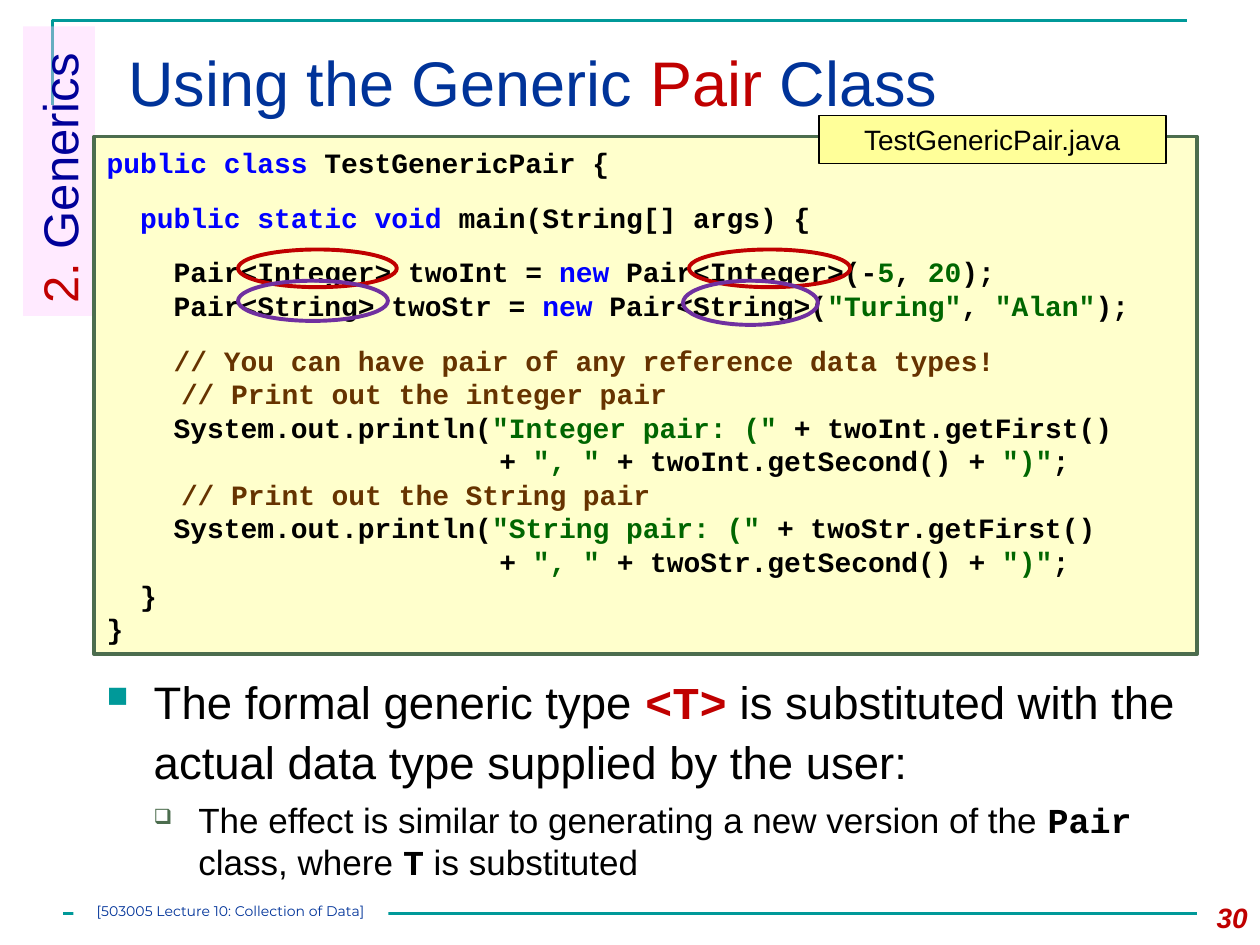
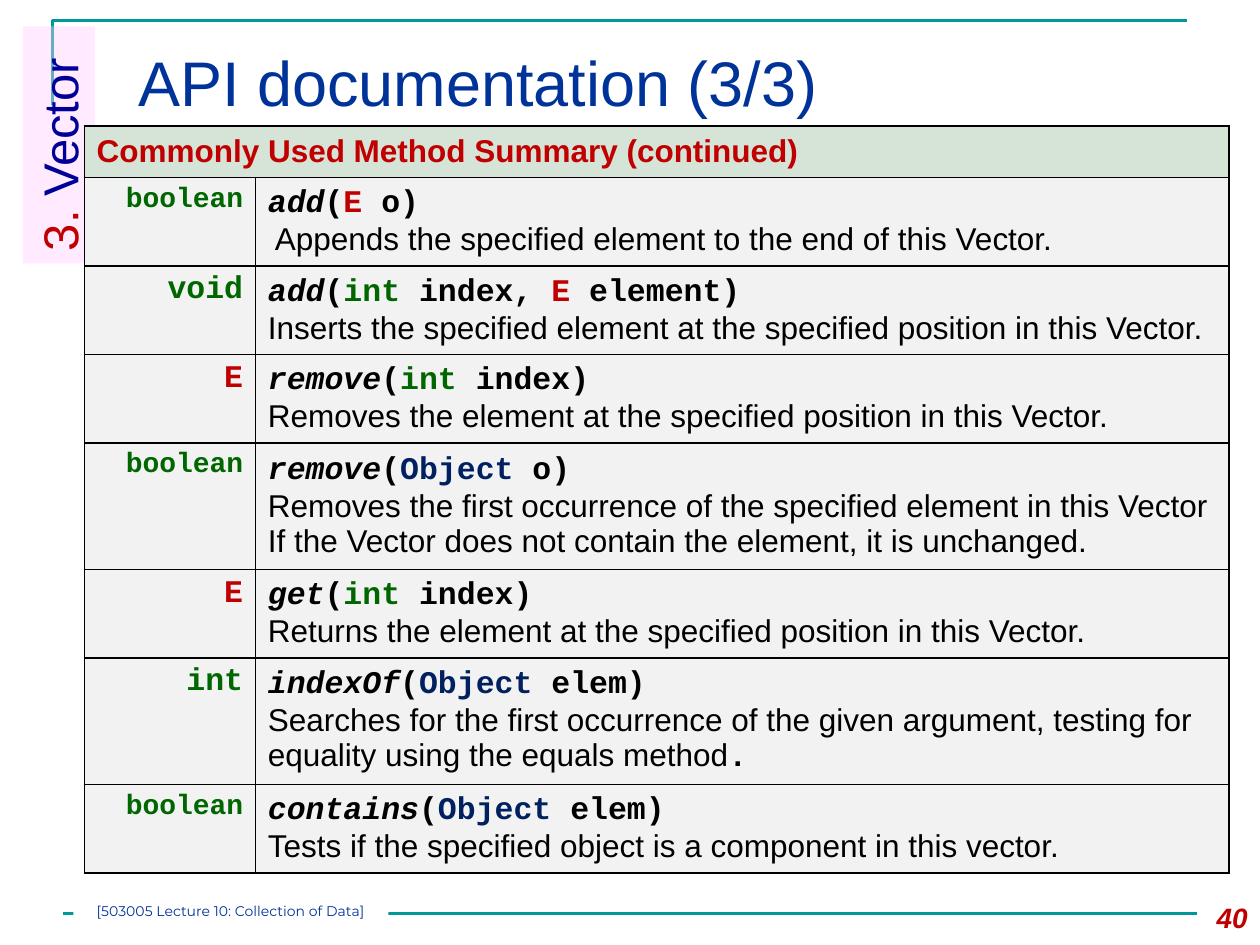
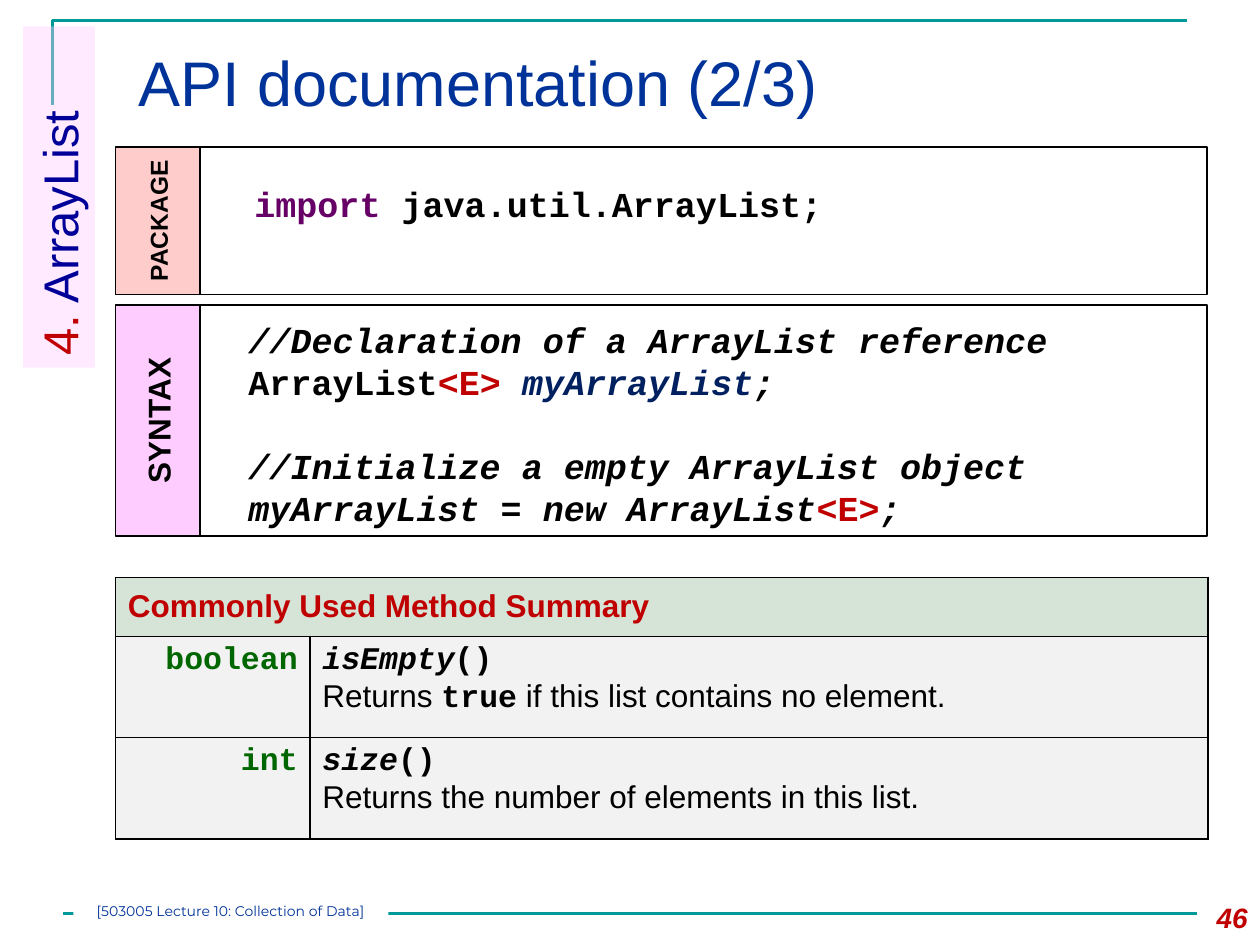
from lxml.etree import SubElement
from pptx import Presentation
from pptx.dml.color import RGBColor
from pptx.enum.shapes import MSO_CONNECTOR, MSO_SHAPE
from pptx.enum.text import MSO_ANCHOR, PP_ALIGN
from pptx.oxml.ns import qn
from pptx.util import Cm, Pt


class Theme:
    teal, navy, red, ink = "009999", "003399", "C00000", "000000"
    moss, purple, white, tag_blue = "4C6D4E", "7030A0", "FFFFFF", "000099"
    cream, file_yellow, pink, salmon = "FFFFCC", "FFFF99", "FFCCFF", "FFCCCC"
    head_fill, cell_fill = "D6E3D7", "F2F2F2"
    title, tag, lead, large, table, code, label, footer = 36, 28, 26, 20, 18, 16, 14, 8
    sans, mono, footer_font = "Arial", "Courier New", "Montserrat"


def look(color=Theme.ink, name=Theme.sans, bold=False, italic=False):
    return {"color": color, "name": name, "bold": bold, "italic": italic}


def mono(color=Theme.ink, italic=False):
    return look(color, Theme.mono, True, italic)


FORMATS = {
    "text": look(),
    "bold": look(bold=True),
    "title": look(Theme.navy),
    "accent": look(Theme.red),
    "tag": look(Theme.tag_blue),
    "heading": look(Theme.red, bold=True),
    "number": look(Theme.red, bold=True, italic=True),
    "footer": look(Theme.navy, Theme.footer_font),
    "code": mono(),
    "method": mono(italic=True),
    "keyword": mono("0000FF"),
    "import": mono("660066"),
    "literal": mono("006600"),
    "type": mono("006600"),
    "comment": mono("663300"),
    "generic": mono(Theme.red),
    "object": mono("002060"),
    "variable": mono("002060", italic=True),
}
INSETS = {"margin_left": Cm(0.25), "margin_right": Cm(0.25),
          "margin_top": Cm(0.13), "margin_bottom": Cm(0.13)}


# Text
def set_values(target, values):
    for key, value in values.items():
        setattr(target, key, value)


def write_spans(para, spans, size, **para_format):
    """Add (format, text) spans; a "\\n" text is a line break."""
    set_values(para, para_format)
    for kind, text in spans:
        if text == "\n":
            para.add_line_break()
            continue
        span = para.add_run()
        span.text = text
        values = dict(FORMATS[kind], size=Pt(size))
        span.font.color.rgb = RGBColor.from_string(values.pop("color"))
        set_values(span.font, values)


def write_lines(frame, lines, size, gap):
    """Write code lines; an empty line becomes space before the next one."""
    para, space = frame.paragraphs[0], 0
    for line in lines:
        if not line:
            space = gap
            continue
        if para.runs:
            para = frame.add_paragraph()
        write_spans(para, line, size, line_spacing=Pt(size * 1.2))
        if space:
            para.space_before = Pt(space)
        space = 0


def add_tabs(para, step, count):
    stops = SubElement(para._p.get_or_add_pPr(), qn("a:tabLst"))
    for index in range(1, count + 1):
        SubElement(stops, qn("a:tab"), pos=str(Cm(step * index)), algn="l")


def add_bullet(para, symbol, color, percent, left, hang):
    props = para._p.get_or_add_pPr()
    props.set("marL", str(Cm(left)))
    props.set("indent", str(-Cm(hang)))
    SubElement(SubElement(props, qn("a:buClr")), qn("a:srgbClr"), val=color)
    SubElement(props, qn("a:buSzPct"), val=str(percent * 1000))
    SubElement(props, qn("a:buChar"), char=symbol)


# Shapes
def add_box(page, place, fill=None, line=None, weight=1, kind=MSO_SHAPE.RECTANGLE,
            anchor=MSO_ANCHOR.TOP, **insets):
    box = page.shapes.add_shape(kind, *map(Cm, place))
    box.shadow.inherit = False
    if fill:
        box.fill.solid()
        box.fill.fore_color.rgb = RGBColor.from_string(fill)
    else:
        box.fill.background()
    if line:
        box.line.color.rgb = RGBColor.from_string(line)
        box.line.width = Pt(weight)
    else:
        box.line.fill.background()
    set_values(box.text_frame, dict(INSETS, word_wrap=True, vertical_anchor=anchor, **insets))
    box.text_frame.paragraphs[0].alignment = PP_ALIGN.LEFT
    return box


def add_text(page, place, anchor=MSO_ANCHOR.TOP):
    frame = page.shapes.add_textbox(*map(Cm, place)).text_frame
    set_values(frame, dict(INSETS, word_wrap=True, vertical_anchor=anchor))
    return frame


def add_section_tag(page, number, name, length):
    thick, center, top = 1.45, 1.19, 0.53
    box = add_box(page, (center - length / 2, top + length / 2 - thick / 2, length, thick),
                  Theme.pink)
    box.rotation = 270
    color = box.fill._xPr.find(qn("a:solidFill")).find(qn("a:srgbClr"))
    SubElement(color, qn("a:alpha"), val="40000")
    write_spans(box.text_frame.paragraphs[0],
                [("accent", number), ("tag", " " + name)], Theme.tag)


def add_side_label(page, place, text, fill, size):
    box = add_box(page, place, fill, Theme.ink, anchor=MSO_ANCHOR.MIDDLE)
    box.text_frame._txBody.bodyPr.set("vert", "vert270")
    write_spans(box.text_frame.paragraphs[0], [("bold", text)], size,
                alignment=PP_ALIGN.CENTER)


# Page frame
def add_page(deck, title, number, tag, title_left=2.54):
    page = deck.slides.add_slide(deck.slide_layouts[6])
    builder = page.shapes.build_freeform(Cm(1.06), Cm(2.12))
    builder.add_line_segments([(Cm(1.06), Cm(0.42)), (Cm(23.92), Cm(0.42))], close=False)
    corner = builder.convert_to_shape()
    corner.shadow.inherit = False
    corner.fill.background()
    rule = page.shapes.add_connector(MSO_CONNECTOR.STRAIGHT,
                                     Cm(1.27), Cm(18.42), Cm(24.13), Cm(18.42))
    SubElement(rule._element.spPr, qn("a:effectLst"))
    for stroke in (corner, rule):
        stroke.line.color.rgb = RGBColor.from_string(Theme.teal)
        stroke.line.width = Pt(1.5)

    heading = add_text(page, (title_left, 0.64, 21.6, 2.18), MSO_ANCHOR.MIDDLE)
    write_spans(heading.paragraphs[0], title, Theme.title, line_spacing=0.9)
    folio = add_text(page, (23.7, 18.03, 1.7, 1.02))
    write_spans(folio.paragraphs[0], [("number", number)], Theme.code,
                alignment=PP_ALIGN.RIGHT)
    footer = add_box(page, (1.48, 18.2, 6.35, 0.42), Theme.white)
    set_values(footer.text_frame, dict.fromkeys(INSETS, 0))
    write_spans(footer.text_frame.paragraphs[0],
                [("footer", "[503005 Lecture 10: Collection of Data]")], Theme.footer,
                alignment=PP_ALIGN.CENTER)
    add_section_tag(page, *tag)
    return page


# Method table
def style_cell(cell, fill, anchor):
    set_values(cell, dict(INSETS, vertical_anchor=anchor))
    props = cell._tc.get_or_add_tcPr()
    for side in ("lnL", "lnR", "lnT", "lnB"):
        edge = SubElement(props, qn("a:" + side), w=str(Pt(1)))
        SubElement(SubElement(edge, qn("a:solidFill")), qn("a:srgbClr"), val=Theme.ink)
    cell.fill.solid()
    cell.fill.fore_color.rgb = RGBColor.from_string(fill)


def add_method_table(page, corner, columns, heights, heading, methods, anchor,
                     boolean_size=Theme.table):
    size = (sum(columns), sum(heights))
    table = page.shapes.add_table(len(heights), 2, *map(Cm, corner + size)).table
    for column, width in zip(table.columns, columns):
        column.width = Cm(width)
    for row, height in zip(table.rows, heights):
        row.height = Cm(height)
    for cell in table.rows[0].cells:
        style_cell(cell, Theme.head_fill, MSO_ANCHOR.MIDDLE)
    table.cell(0, 0).merge(table.cell(0, 1))
    write_spans(table.cell(0, 0).text_frame.paragraphs[0], [("heading", heading)], Theme.table)

    for index, (result, name, arguments, description) in enumerate(methods, 1):
        result_cell, method_cell = table.rows[index].cells
        style_cell(result_cell, Theme.cell_fill, MSO_ANCHOR.TOP)
        style_cell(method_cell, Theme.cell_fill, anchor)
        write_spans(result_cell.text_frame.paragraphs[0],
                    [("generic" if result == "E" else "type", result)],
                    boolean_size if result == "boolean" else Theme.table,
                    alignment=PP_ALIGN.RIGHT)
        spans = [("method", name), ("code", "("), *arguments, ("code", ")"), ("code", "\n")]
        write_spans(method_cell.text_frame.paragraphs[0], spans + description, Theme.table)


# Slide content
def print_lines(label, variable):
    return [
        [("comment", f"\t\t// Print out the {label} pair")],
        [("code", "    System.out.println("),
         ("literal", f'"{label[0].upper() + label[1:]} pair: (" '),
         ("code", f"+ {variable}.getFirst()")],
        [("code", "\t\t                   + "), ("literal", '", " '),
         ("code", f"+ {variable}.getSecond() + "), ("literal", '")"'), ("code", ";")],
    ]


PAIR_CODE = [
    [("keyword", "public class "), ("code", "TestGenericPair {")],
    [],
    [("keyword", "  public static void "), ("code", "main(String[] args) {")],
    [],
    [("code", "    Pair<Integer> twoInt = "), ("keyword", "new "), ("code", "Pair<Integer>(-"),
     ("literal", "5"), ("code", ", "), ("literal", "20"), ("code", ");")],
    [("code", "    Pair<String> twoStr = "), ("keyword", "new"), ("code", " Pair<String>("),
     ("literal", '"Turing"'), ("code", ", "), ("literal", '"Alan"'), ("code", ");")],
    [],
    [("comment", "    // You can have pair of any reference data types!")],
    *print_lines("integer", "twoInt"),
    *print_lines("String", "twoStr"),
    [("code", "  }")],
    [("code", "}")],
]
INDEX = [("type", "int"), ("code", " index")]
ELEMENT = [("object", "Object"), ("code", " elem")]
VECTOR_METHODS = [
    ("boolean", "add", [("generic", "E"), ("code", " o")],
     [("text", " Appends the specified element to the end of this Vector.")]),
    ("void", "add", INDEX + [("code", ", "), ("generic", "E"), ("code", " element")],
     [("text", "Inserts the specified element at the specified position in this Vector.")]),
    ("E", "remove", INDEX,
     [("text", "Removes the element at the specified position in this Vector.")]),
    ("boolean", "remove", [("object", "Object"), ("code", " o")],
     [("text", "Removes the first occurrence of the specified element in this Vector "
               "If the Vector does not contain the element, it is unchanged.")]),
    ("E", "get", INDEX,
     [("text", "Returns the element at the specified position in this Vector.")]),
    ("int", "indexOf", ELEMENT,
     [("text", "Searches for the first occurrence of the given argument, testing for "
               "equality using the equals method"), ("code", ".")]),
    ("boolean", "contains", ELEMENT,
     [("text", "Tests if the specified object is a component in this vector.")]),
]
LIST_METHODS = [
    ("boolean", "isEmpty", [],
     [("text", "Returns "), ("code", "true"), ("text", " if this list contains no element.")]),
    ("int", "size", [], [("text", "Returns the number of elements in this list.")]),
]
IMPORT_CODE = [[("import", "import"), ("code", " java.util.ArrayList;")]]
SYNTAX_CODE = [
    [("method", "//Declaration of a ArrayList reference")],
    [("code", "ArrayList"), ("generic", "<E> "), ("variable", "myArrayList"), ("method", ";")],
    [],
    [("method", "//Initialize a empty ArrayList object")],
    [("method", "myArrayList = new ArrayList"), ("generic", "<E>"), ("method", ";")],
]


def build_pair_page(deck):
    page = add_page(deck, [("title", "Using the Generic "), ("accent", "Pair"),
                           ("title", " Class")], "30", ("2.", "Generics", 5.84), 2.34)
    # Bulleted explanation
    body = add_text(page, (1.9, 13.34, 22.43, 4.88))
    lead = body.paragraphs[0]
    add_bullet(lead, "■", Theme.teal, 65, 0.95, 0.95)
    write_spans(lead, [("text", "The formal generic type "), ("generic", "<T>"),
                       ("text", " is substituted with the actual data type supplied "
                                "by the user:")], Theme.lead, line_spacing=1.1)
    detail = body.add_paragraph()
    add_bullet(detail, "❑", Theme.moss, 60, 1.85, 0.9)
    write_spans(detail, [("text", "The effect is similar to generating a new version of the "),
                         ("code", "Pair"), ("text", " class, where "), ("code", "T"),
                         ("text", " is substituted")], Theme.large,
                level=1, space_before=Pt(6))
    # Code listing with its file name
    listing = add_box(page, (1.9, 2.75, 22.23, 10.44), Theme.cream, Theme.moss, 2)
    listing.text_frame.margin_top = Cm(0.19)
    write_lines(listing.text_frame, PAIR_CODE, Theme.code, 12)
    for para in listing.text_frame.paragraphs:
        para.alignment = PP_ALIGN.LEFT
        add_tabs(para, 0.75, 3)
    file_name = add_box(page, (16.51, 2.33, 6.99, 0.97), Theme.file_yellow, Theme.ink,
                        anchor=MSO_ANCHOR.MIDDLE)
    write_spans(file_name.text_frame.paragraphs[0], [("text", "TestGenericPair.java")],
                Theme.code, alignment=PP_ALIGN.CENTER)
    # Rings around the type arguments
    for color, place in ((Theme.red, (4.8, 5.03, 3.2, 0.76)),
                         (Theme.red, (13.89, 5.03, 3.25, 0.76)),
                         (Theme.purple, (4.8, 5.66, 3.02, 0.81)),
                         (Theme.purple, (13.77, 5.66, 2.72, 0.89))):
        add_box(page, place, line=color, weight=2.25, kind=MSO_SHAPE.OVAL)


def build_vector_page(deck):
    page = add_page(deck, [("title", "API documentation (3/3)")], "40", ("3.", "Vector", 4.78))
    short, tall = 1.78, 2.54
    add_method_table(page, (1.7, 2.54), (3.45, 19.63),
                     (1.04, short, short, short, tall, short, tall, short),
                     "Commonly Used Method Summary (continued)", VECTOR_METHODS,
                     MSO_ANCHOR.MIDDLE, Theme.code)


def build_list_page(deck):
    page = add_page(deck, [("title", "API documentation (2/3)")], "46",
                    ("4.", "ArrayList", 6.88))
    # Labelled code panels: label, fill, label size, top, height, code, insets
    panels = (
        ("PACKAGE", Theme.salmon, Theme.label, 2.97, 2.97, IMPORT_CODE, 1.09, 0.13, 0.82),
        ("SYNTAX", Theme.pink, Theme.table, 6.15, 4.65, SYNTAX_CODE, 0.97, 0.25, 0.13),
    )
    for label, fill, size, top, height, lines, left, above, below in panels:
        panel = add_box(page, (4.04, top, 20.29, height), line=Theme.ink,
                        anchor=MSO_ANCHOR.MIDDLE)
        set_values(panel.text_frame, {"margin_left": Cm(left), "margin_top": Cm(above),
                                      "margin_bottom": Cm(below)})
        write_lines(panel.text_frame, lines, Theme.large, 24)
        for para in panel.text_frame.paragraphs:
            para.alignment = PP_ALIGN.LEFT
        add_side_label(page, (2.33, top, 1.71, height), label, fill, size)
    add_method_table(page, (2.33, 11.64), (3.92, 18.1), (1.19, 2.04, 2.04),
                     "Commonly Used Method Summary", LIST_METHODS, MSO_ANCHOR.TOP)


def main():
    deck = Presentation()
    deck.slide_width, deck.slide_height = Cm(25.4), Cm(19.05)
    build_pair_page(deck)
    build_vector_page(deck)
    build_list_page(deck)
    deck.save("out.pptx")


if __name__ == "__main__":
    main()
